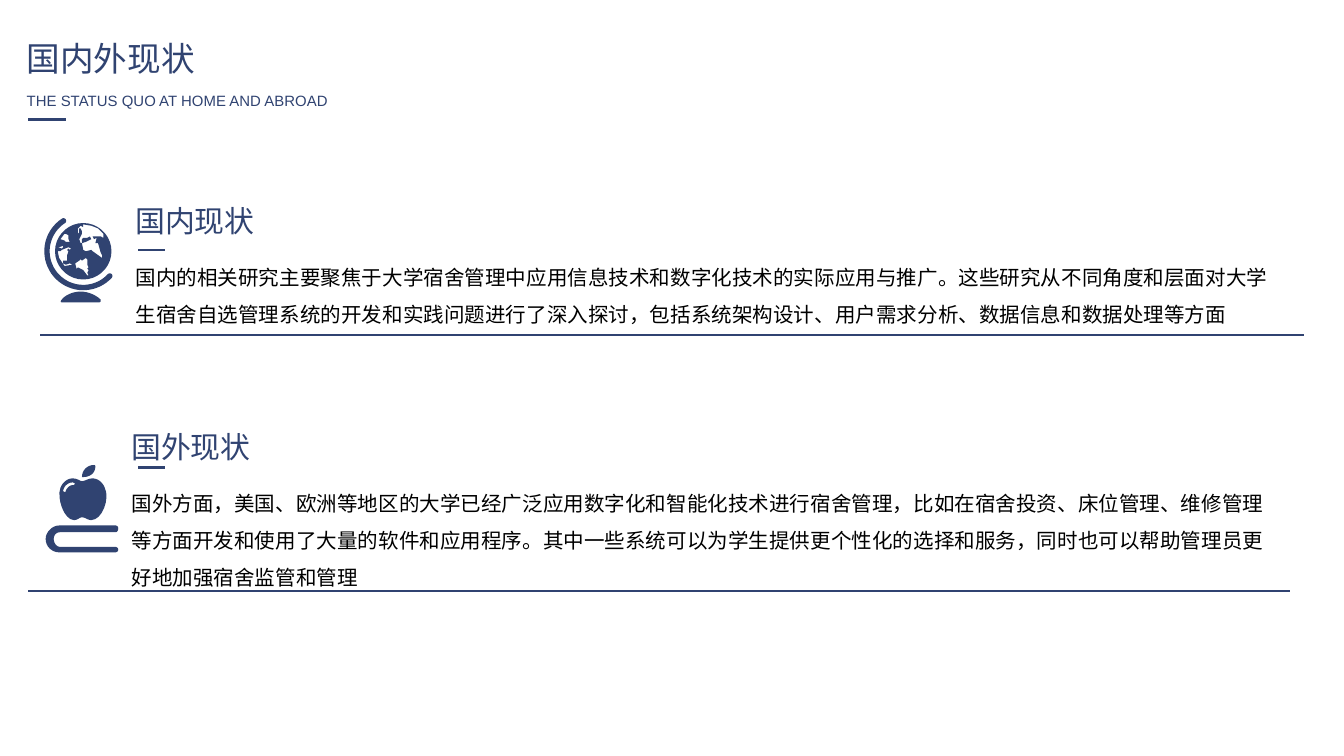
from math import cos, radians, sin

from lxml import etree
from pptx import Presentation
from pptx.dml.color import RGBColor
from pptx.enum.shapes import MSO_CONNECTOR
from pptx.enum.text import MSO_AUTO_SIZE
from pptx.oxml.ns import qn
from pptx.util import Inches, Pt

STRAIGHT = MSO_CONNECTOR.STRAIGHT
FIT_SHAPE = MSO_AUTO_SIZE.SHAPE_TO_FIT_TEXT

SLIDE_WIDTH = 10
SLIDE_HEIGHT = SLIDE_WIDTH * 9 / 16

THEME = {
    "navy": RGBColor(0x30, 0x43, 0x71),
    "east_asian": "Noto Sans CJK SC",
    "title": {"size": Pt(18), "name": "Noto Sans CJK SC", "color": "304371"},
    "subtitle": {"size": Pt(8), "name": "Arial", "color": "304371"},
    "heading": {"size": Pt(16), "name": "Noto Sans CJK SC", "color": "304371"},
    "body": {"size": Pt(11), "name": "Calibri", "color": "000000"},
    "accent_width": 1.5,
    "rule_width": 1,
}

HEADER = [
    ("国内外现状", "title", (0.1, 0.23, 1.46, 0.4)),
    ("THE STATUS QUO AT HOME AND ABROAD", "subtitle", (0.1, 0.63, 2.51, 0.24)),
]
HEADER_ACCENT = (0.21, 0.49, 0.89)
SECTION_ACCENT = (1.03, 1.23)

SECTIONS = [
    {
        "heading": "国内现状",
        "body": "国内的相关研究主要聚焦于大学宿舍管理中应用信息技术和数字化技术的实际应用与推广。"
                "这些研究从不同角度和层面对大学生宿舍自选管理系统的开发和实践问题进行了深入探讨，"
                "包括系统架构设计、用户需求分析、数据信息和数据处理等方面",
        "left": 0.91, "top": 1.46, "body_height": 0.62,
        "accent_top": 1.86, "rule": (0.3, 9.7, 2.49),
    },
    {
        "heading": "国外现状",
        "body": "国外方面，美国、欧洲等地区的大学已经广泛应用数字化和智能化技术进行宿舍管理，"
                "比如在宿舍投资、床位管理、维修管理等方面开发和使用了大量的软件和应用程序。"
                "其中一些系统可以为学生提供更个性化的选择和服务，"
                "同时也可以帮助管理员更好地加强宿舍监管和管理",
        "left": 0.88, "top": 3.14, "body_height": 0.9,
        "accent_top": 3.48, "rule": (0.21, 9.6, 4.4),
    },
]

GLOBE_CENTER = (0.62, 1.87)
GLOBE_RADIUS = 0.21
STAND_RADIUS = 0.27
STAND_HALF_WIDTH = 0.02
STAND_ANGLES = (43, 237)

LANDS = [
    [(0.59, 1.74), (0.59, 1.7), (0.6, 1.7), (0.61, 1.72), (0.61, 1.74), (0.6, 1.76),
     (0.59, 1.78), (0.6, 1.81), (0.61, 1.81), (0.61, 1.78), (0.62, 1.77), (0.65, 1.77),
     (0.67, 1.76), (0.68, 1.78), (0.64, 1.8), (0.61, 1.81), (0.62, 1.86), (0.64, 1.87),
     (0.68, 1.86), (0.69, 1.87), (0.76, 1.92), (0.76, 1.9), (0.75, 1.88), (0.73, 1.81),
     (0.71, 1.81), (0.72, 1.77), (0.7, 1.78), (0.69, 1.76), (0.72, 1.76), (0.75, 1.76),
     (0.77, 1.77), (0.77, 1.74), (0.73, 1.7), (0.68, 1.68), (0.62, 1.67), (0.62, 1.69),
     (0.6, 1.68), (0.58, 1.7), (0.58, 1.73)],
    [(0.56, 1.96), (0.57, 2), (0.58, 1.99), (0.62, 2.01), (0.65, 2.05), (0.66, 2.05),
     (0.65, 2.03), (0.66, 2.01), (0.65, 2), (0.66, 1.99), (0.65, 1.97), (0.65, 1.93),
     (0.64, 1.92), (0.61, 1.94), (0.6, 1.93), (0.59, 1.94)],
    [(0.5, 1.86), (0.51, 1.85), (0.52, 1.86), (0.53, 1.85), (0.51, 1.84), (0.46, 1.86),
     (0.45, 1.87), (0.43, 1.87), (0.44, 1.92), (0.48, 1.98), (0.54, 1.97), (0.52, 1.96),
     (0.49, 1.97), (0.47, 1.96), (0.47, 1.94), (0.5, 1.94), (0.5, 1.9), (0.51, 1.87)],
    [(0.48, 1.74), (0.45, 1.78), (0.48, 1.79), (0.49, 1.8), (0.52, 1.8), (0.51, 1.78),
     (0.51, 1.75), (0.49, 1.74)],
    [(0.43, 1.84), (0.46, 1.85), (0.47, 1.84), (0.47, 1.83), (0.44, 1.84)],
]

GLOBE_FOOT = [
    (0.75, 2.23),
    [(0.75, 2.24, 0.75, 2.25, 0.74, 2.25), (0.65, 2.25, 0.55, 2.25, 0.46, 2.25),
     (0.45, 2.25, 0.45, 2.24, 0.46, 2.23), (0.48, 2.2, 0.54, 2.17, 0.6, 2.17),
     (0.66, 2.17, 0.72, 2.2, 0.75, 2.23)],
]

APPLE_AND_BOOK = [
    [(0.88, 4.09),
     [(0.88, 4.1, 0.87, 4.11, 0.86, 4.11), (0.72, 4.11, 0.58, 4.11, 0.44, 4.11),
      (0.39, 4.11, 0.34, 4.07, 0.34, 4.01), (0.34, 3.96, 0.39, 3.91, 0.44, 3.91),
      (0.58, 3.91, 0.72, 3.91, 0.86, 3.91), (0.87, 3.91, 0.88, 3.92, 0.88, 3.93),
      (0.88, 3.95, 0.87, 3.96, 0.86, 3.96), (0.72, 3.96, 0.59, 3.96, 0.45, 3.96),
      (0.42, 3.96, 0.4, 3.98, 0.4, 4.01), (0.4, 4.04, 0.42, 4.07, 0.45, 4.07),
      (0.59, 4.07, 0.72, 4.07, 0.86, 4.07), (0.87, 4.07, 0.88, 4.08, 0.88, 4.09)]],
    [(0.62, 3.55),
     [(0.67, 3.55, 0.71, 3.52, 0.71, 3.47), (0.71, 3.47, 0.71, 3.46, 0.7, 3.46),
      (0.65, 3.46, 0.61, 3.5, 0.61, 3.55)]],
    [(0.78, 3.63),
     [(0.76, 3.58, 0.72, 3.56, 0.69, 3.56), (0.65, 3.56, 0.64, 3.58, 0.61, 3.58),
      (0.59, 3.58, 0.58, 3.56, 0.54, 3.56), (0.51, 3.56, 0.47, 3.58, 0.45, 3.63),
      (0.42, 3.71, 0.48, 3.87, 0.55, 3.87), (0.58, 3.87, 0.59, 3.85, 0.61, 3.85),
      (0.64, 3.85, 0.65, 3.87, 0.68, 3.87), (0.76, 3.87, 0.82, 3.71, 0.78, 3.63)]],
    [(0.54, 3.61),
     [(0.52, 3.61, 0.5, 3.63, 0.49, 3.65), (0.49, 3.66, 0.49, 3.66, 0.48, 3.66),
      (0.47, 3.66, 0.47, 3.65, 0.47, 3.65), (0.48, 3.61, 0.51, 3.59, 0.54, 3.59),
      (0.55, 3.59, 0.56, 3.6, 0.56, 3.6), (0.55, 3.61, 0.55, 3.61, 0.54, 3.61)]],
]


def arc(center, radius, start, end, steps=36):
    angles = [radians(start + (end - start) * step / steps) for step in range(steps + 1)]
    return [(center[0] + radius * cos(angle), center[1] + radius * sin(angle)) for angle in angles]


def curve(start, segments, steps=8):
    points = [start]
    for x1, y1, x2, y2, x3, y3 in segments:
        x0, y0 = points[-1]
        for step in range(1, steps + 1):
            t = step / steps
            weights = ((1 - t) ** 3, 3 * t * (1 - t) ** 2, 3 * t * t * (1 - t), t ** 3)
            points.append(tuple(sum(weight * value for weight, value in zip(weights, values))
                                for values in ((x0, x1, x2, x3), (y0, y1, y2, y3))))
    return points


def globe_stand():
    start, end = STAND_ANGLES
    first_cap, last_cap = (arc(GLOBE_CENTER, STAND_RADIUS, angle, angle, 1)[0] for angle in STAND_ANGLES)
    return (arc(GLOBE_CENTER, STAND_RADIUS + STAND_HALF_WIDTH, start, end)
            + arc(last_cap, STAND_HALF_WIDTH, end, end + 180, 8)
            + arc(GLOBE_CENTER, STAND_RADIUS - STAND_HALF_WIDTH, end, start)
            + arc(first_cap, STAND_HALF_WIDTH, start - 180, start, 8))


def add_text(slide, text, style, box, wrap=False, line_spacing=None):
    shape = slide.shapes.add_textbox(*map(Inches, box))
    frame = shape.text_frame
    frame.word_wrap = wrap
    frame.auto_size = FIT_SHAPE
    paragraph = frame.paragraphs[0]
    paragraph.line_spacing = line_spacing
    run = paragraph.add_run()
    run.text = text
    values = dict(THEME[style])
    run.font.color.rgb = RGBColor.from_string(values.pop("color"))
    for name, value in values.items():
        setattr(run.font, name, value)
    properties = run._r.get_or_add_rPr()
    etree.SubElement(properties, qn("a:ea")).set("typeface", THEME["east_asian"])


def add_line(slide, left, right, top, width):
    connector = slide.shapes.add_connector(STRAIGHT, Inches(left), Inches(top), Inches(right), Inches(top))
    connector.line.color.rgb = THEME["navy"]
    connector.line.width = Pt(width)
    etree.SubElement(connector._element.spPr, qn("a:effectLst"))


def add_icon(slide, contours):
    outlines = [[(Inches(x), Inches(y)) for x, y in contour] for contour in contours]
    builder = slide.shapes.build_freeform(*outlines[0][0])
    for index, outline in enumerate(outlines):
        if index:
            builder.move_to(*outline[0])
        builder.add_line_segments(outline[1:], close=True)
    shape = builder.convert_to_shape()
    shape.shadow.inherit = False
    shape.fill.solid()
    shape.fill.fore_color.rgb = THEME["navy"]
    shape.line.fill.background()


def main():
    presentation = Presentation()
    presentation.slide_width, presentation.slide_height = Inches(SLIDE_WIDTH), Inches(SLIDE_HEIGHT)
    slide = presentation.slides.add_slide(presentation.slide_layouts[6])
    for text, style, box in HEADER:
        add_text(slide, text, style, box)
    add_line(slide, *HEADER_ACCENT, THEME["accent_width"])
    for section in SECTIONS:
        left, top = section["left"], section["top"]
        add_line(slide, *section["rule"], THEME["rule_width"])
        add_text(slide, section["heading"], "heading", (left, top, 1.1, 0.37))
        add_text(slide, section["body"], "body", (left, top + 0.37, 8.69, section["body_height"]), True, 1.5)
        add_line(slide, *SECTION_ACCENT, section["accent_top"], THEME["accent_width"])
    add_icon(slide, [curve(*contour) for contour in APPLE_AND_BOOK])
    add_icon(slide, [curve(*GLOBE_FOOT), arc(GLOBE_CENTER, GLOBE_RADIUS, 0, 360), *LANDS, globe_stand()])
    presentation.save("out.pptx")


if __name__ == "__main__":
    main()
